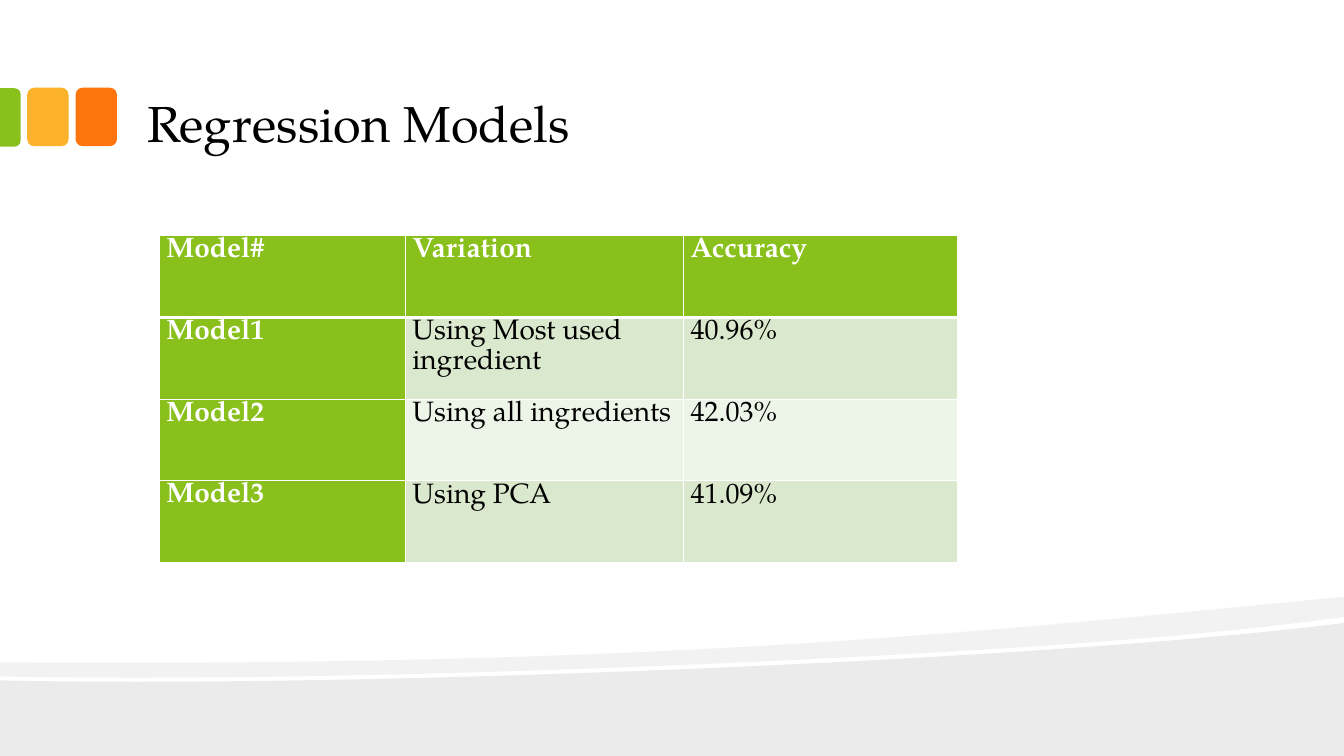
from lxml import etree
from pptx import Presentation
from pptx.dml.color import RGBColor
from pptx.enum import shapes, text
from pptx.oxml import ns
from pptx.util import Inches, Pt

FONT = "TeX Gyre Pagella"
GREEN, AMBER, ORANGE = "89C01C", "FCB22C", "FE750E"
PALE, PALER = "DAE8CD", "EDF4E8"
WHITE, BLACK = "FFFFFF", "000000"
WIDTH, HEIGHT = 13.33, 7.5
ROWS = [
    ("Model#", "Variation", "Accuracy"),
    ("Model1", "Using Most used ingredient", "40.96%"),
    ("Model2", "Using all ingredients", "42.03%"),
    ("Model3", "Using PCA", "41.09%"),
]
COLUMN_WIDTHS = (2.44, 2.76, 2.72)
ROW_HEIGHT = 0.81
GROUND = [
    [(WIDTH, HEIGHT)], [(0, HEIGHT)], [(0, 6.75)],
    [(3.52, 6.83), (10.42, 6.55), (WIDTH, 6.18)],
]
RIBBON = [
    [(WIDTH, 5.92)], [(WIDTH, 6.12)],
    [(12.55, 6.23), (11.49, 6.33), (10.29, 6.41)],
    [(6.98, 6.63), (2.58, 6.77), (0, 6.71)],
    [(0, 6.57)],
    [(6.52, 6.62), (9.71, 6.27), (WIDTH, 5.92)],
]


def paint(fill, color):
    fill.solid()
    fill.fore_color.rgb = RGBColor.from_string(color)


def style_plain(shape, color):
    shape.shadow.inherit = False
    shape.line.fill.background()
    paint(shape.fill, color)


def bend_curves(wave, segments):
    lines = iter(wave._element.findall(".//" + ns.qn("a:lnTo")))
    for segment in segments:
        steps = [next(lines) for _ in segment]
        if len(steps) == 3:
            bend = etree.Element(ns.qn("a:cubicBezTo"))
            steps[0].addprevious(bend)
            for step in steps:
                bend.append(step[0])
                step.getparent().remove(step)


def add_wave(slide, segments, opacity):
    start, *points = [
        (Inches(x), Inches(y)) for segment in segments for x, y in segment]
    builder = slide.shapes.build_freeform(*start)
    builder.add_line_segments(points, close=True)
    wave = builder.convert_to_shape()
    bend_curves(wave, segments[1:])
    style_plain(wave, BLACK)
    tint = wave.fill._xPr.find(".//" + ns.qn("a:srgbClr"))
    etree.SubElement(tint, ns.qn("a:alpha"), val=str(opacity * 1000))


def add_tab(slide, kind, left, top, width, height, color):
    tab = slide.shapes.add_shape(
        kind, Inches(left), Inches(top), Inches(width), Inches(height))
    style_plain(tab, color)
    return tab


def add_run(paragraph, words, size, color, bold=False):
    run = paragraph.add_run()
    run.text = words
    run.font.name = FONT
    run.font.size = Pt(size)
    run.font.bold = bold
    run.font.color.rgb = RGBColor.from_string(color)


def add_title(slide, words):
    title = slide.shapes.add_textbox(
        Inches(1.33), Inches(0.16), Inches(10.66), Inches(1.42))
    frame = title.text_frame
    frame.word_wrap = True
    frame.vertical_anchor = text.MSO_ANCHOR.BOTTOM
    frame.margin_left = frame.margin_right = Inches(0.13)
    frame.margin_top = frame.margin_bottom = Inches(0.07)
    add_run(frame.paragraphs[0], words, 36, BLACK)


def add_border(cell, side, points):
    edge = etree.SubElement(
        cell._tc.get_or_add_tcPr(), ns.qn("a:ln" + side), w=str(Pt(points)))
    solid = etree.SubElement(edge, ns.qn("a:solidFill"))
    etree.SubElement(solid, ns.qn("a:srgbClr"), val=WHITE)


def fill_cell(cell, words, row, column):
    heading = row == 0 or column == 0
    cell.margin_left = cell.margin_right = Inches(0.07)
    cell.margin_top = cell.margin_bottom = 0
    for side in "LRTB":
        under_header = (row, side) in ((0, "B"), (1, "T"))
        add_border(cell, side, 3 if under_header else 1)
    paint(cell.fill, GREEN if heading else PALE if row % 2 else PALER)
    paragraph = cell.text_frame.paragraphs[0]
    paragraph.line_spacing = 1.07
    add_run(paragraph, words, 20, WHITE if heading else BLACK, heading)


def add_model_table(slide):
    frame = slide.shapes.add_table(
        len(ROWS), len(COLUMN_WIDTHS), Inches(1.58), Inches(2.34),
        Inches(sum(COLUMN_WIDTHS)), Inches(ROW_HEIGHT * len(ROWS)))
    table = frame.table
    for column, width in zip(table.columns, COLUMN_WIDTHS):
        column.width = Inches(width)
    for row, entries in enumerate(ROWS):
        table.rows[row].height = Inches(ROW_HEIGHT)
        for column, words in enumerate(entries):
            fill_cell(table.cell(row, column), words, row, column)


def main():
    deck = Presentation()
    deck.slide_width, deck.slide_height = Inches(WIDTH), Inches(HEIGHT)
    slide = deck.slides.add_slide(deck.slide_layouts[6])

    add_wave(slide, GROUND, 8)
    add_wave(slide, RIBBON, 5)

    kinds = shapes.MSO_SHAPE
    for left, color in ((0.75, ORANGE), (0.27, AMBER)):
        add_tab(slide, kinds.ROUNDED_RECTANGLE, left, 0.87, 0.41, 0.58, color)
    edge_tab = add_tab(
        slide, kinds.ROUND_2_SAME_RECTANGLE, -0.19, 1.06, 0.58, 0.21, GREEN)
    edge_tab.rotation = 90
    edge_tab.adjustments[0] = 0.29

    add_title(slide, "Regression Models")
    add_model_table(slide)
    deck.save("out.pptx")


if __name__ == "__main__":
    main()
